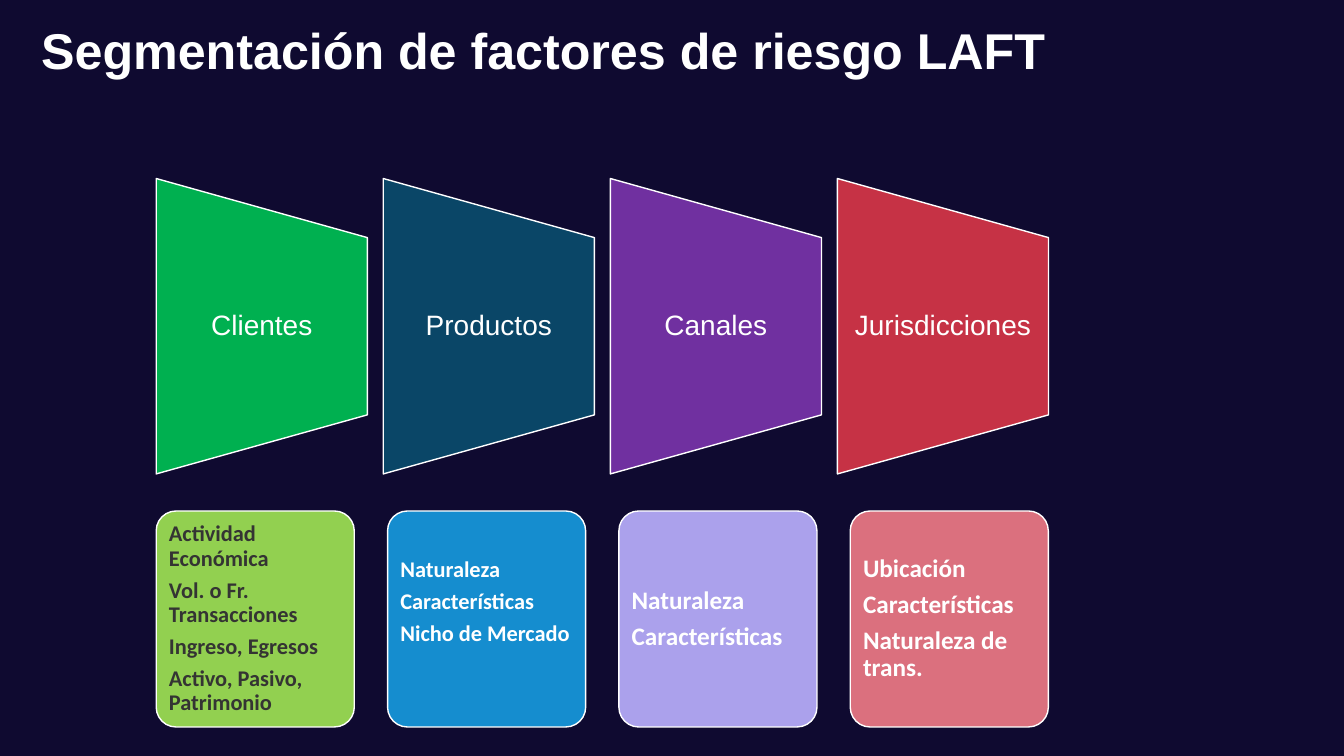
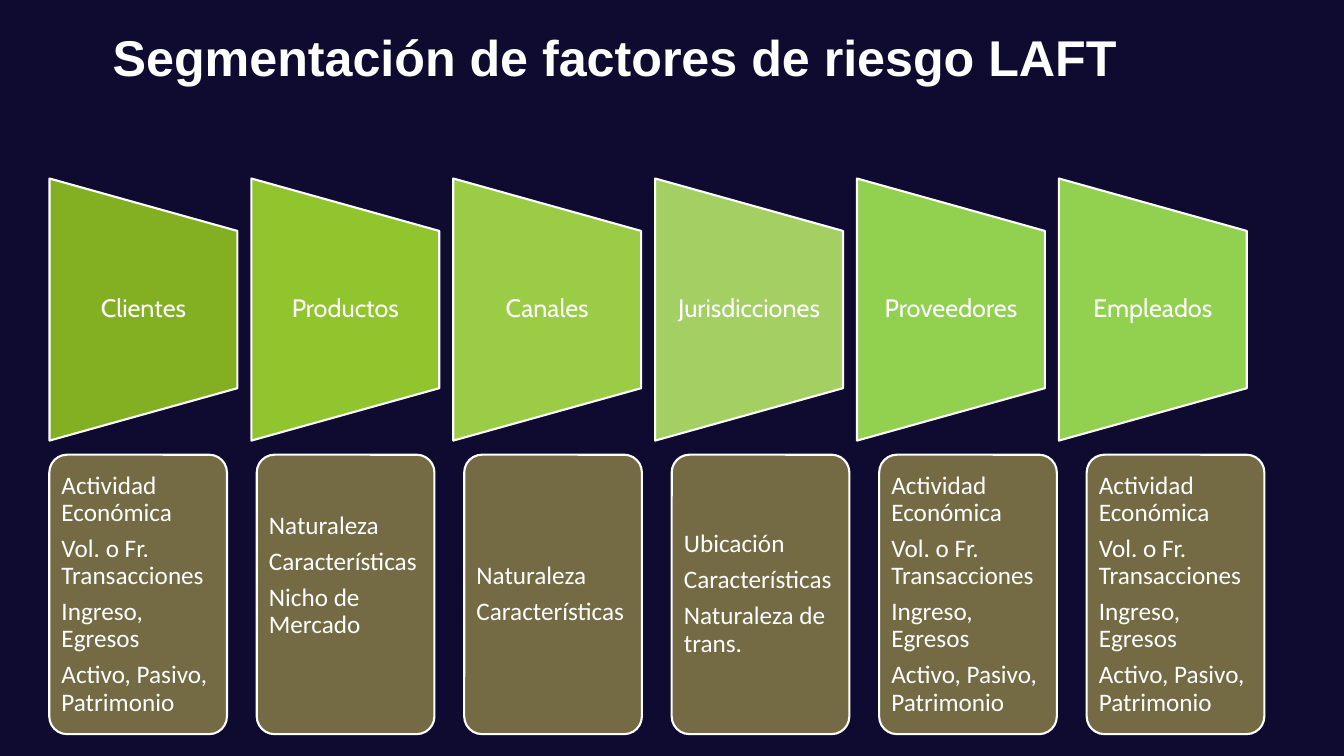
from dataclasses import dataclass

from pptx import Presentation
from pptx.dml.color import RGBColor
from pptx.enum.shapes import MSO_SHAPE
from pptx.enum.text import MSO_ANCHOR, PP_ALIGN
from pptx.util import Pt

GATE = MSO_SHAPE.FLOWCHART_MANUAL_OPERATION
CARD = MSO_SHAPE.ROUNDED_RECTANGLE
TOP, MIDDLE = MSO_ANCHOR.TOP, MSO_ANCHOR.MIDDLE
LEFT, CENTER = PP_ALIGN.LEFT, PP_ALIGN.CENTER


@dataclass(frozen=True)
class Theme:
    night: str = "0F0A30"
    white: str = "FFFFFF"
    ink: str = "343433"
    olive: str = "746B44"
    heading_font: str = "Arial"
    gate_font: str = "Cabin"
    card_font: str = "Calibri"
    title_size: float = 35.9
    large: float = 20
    normal: float = 18
    small: float = 16
    line_spacing: float = 0.9
    gap_ratio: float = 0.35
    lift_ratio: float = 1.45


THEME = Theme()


@dataclass(frozen=True)
class Row:
    left: float
    top: float
    width: float
    height: float
    pitch: float

    def cell(self, column):
        return self.left + column * self.pitch, self.top, self.width, self.height


class Deck:
    def __init__(self, theme):
        self.theme = theme
        self.presentation = Presentation()
        self.presentation.slide_width = Pt(960)
        self.presentation.slide_height = Pt(540)
        self.slide = None

    def new_slide(self):
        self.slide = self.presentation.slides.add_slide(self.presentation.slide_layouts[6])
        fill = self.slide.background.fill
        fill.solid()
        fill.fore_color.rgb = RGBColor.from_string(self.theme.night)

    def set_text(self, holder, lines, font, size, color, bold=False, align=LEFT,
                 anchor=MIDDLE, insets=(5, 5, 5, 5), spacing=None, gap=0):
        frame = holder.text_frame
        left, top, right, bottom = map(Pt, insets)
        frame_format = {
            "word_wrap": True, "vertical_anchor": anchor,
            "margin_left": left, "margin_top": top,
            "margin_right": right, "margin_bottom": bottom,
        }
        for key, value in frame_format.items():
            setattr(frame, key, value)
        for index, line in enumerate(lines):
            paragraph = frame.add_paragraph() if index else frame.paragraphs[0]
            paragraph_format = {"text": line, "alignment": align,
                                "line_spacing": spacing, "space_after": Pt(gap)}
            for key, value in paragraph_format.items():
                setattr(paragraph, key, value)
            for key, value in {"name": font, "size": Pt(size), "bold": bold}.items():
                setattr(paragraph.font, key, value)
            paragraph.font.color.rgb = RGBColor.from_string(color)

    def outlined(self, preset, box, fill, line_width):
        shape = self.slide.shapes.add_shape(preset, *map(Pt, box))
        shape.shadow.inherit = False
        shape.fill.solid()
        shape.fill.fore_color.rgb = RGBColor.from_string(fill)
        shape.line.color.rgb = RGBColor.from_string(self.theme.white)
        shape.line.width = Pt(line_width)
        return shape

    def title(self, text, left, top):
        box = self.slide.shapes.add_textbox(Pt(left), Pt(top), Pt(763), Pt(49))
        self.set_text(box, [text], self.theme.heading_font, self.theme.title_size,
                      self.theme.white, bold=True, anchor=TOP, insets=(7.2, 3.6, 7.2, 3.6))

    def gate(self, box, label, fill, line_width, font, size):
        left, top, width, height = box
        shift = (width - height) / 2
        shape = self.outlined(GATE, (left + shift, top - shift, height, width), fill, line_width)
        shape.rotation = 270
        caption = self.slide.shapes.add_textbox(
            Pt(left), Pt(top + height / 5), Pt(width), Pt(height * 0.6))
        self.set_text(caption, [label], font, size, self.theme.white, align=CENTER,
                      insets=(9, 0, 9, 0), spacing=self.theme.line_spacing,
                      gap=size * self.theme.gap_ratio)

    def card(self, box, lines, fill, line_width, size, color, bold, lifted):
        shape = self.outlined(CARD, box, fill, line_width)
        shape.adjustments[0] = 0.1
        bottom = 5 + lifted * size * self.theme.lift_ratio
        self.set_text(shape, lines, self.theme.card_font, size, color, bold,
                      insets=(5, 5, 5, bottom), spacing=self.theme.line_spacing,
                      gap=size * self.theme.gap_ratio)


TITLE = "Segmentación de factores de riesgo LAFT"
PROFILE = ["Actividad Económica", "Vol. o Fr. Transacciones", "Ingreso, Egresos",
           "Activo, Pasivo, Patrimonio"]
VARIABLES = {
    "Clientes": PROFILE,
    "Productos": ["Naturaleza", "Características", "Nicho de Mercado"],
    "Canales": ["Naturaleza", "Características"],
    "Jurisdicciones": ["Ubicación", "Características", "Naturaleza de trans."],
    "Proveedores": PROFILE,
    "Empleados": PROFILE,
}
LIFTED_FACTOR = "Productos"

MAIN_FACTORS = [
    ("Clientes", "00B050", "92D050", THEME.small, THEME.ink),
    ("Productos", "0A4667", "158DCF", THEME.small, THEME.white),
    ("Canales", "7030A0", "ABA1EC", THEME.normal, THEME.white),
    ("Jurisdicciones", "C63245", "DB707E", THEME.normal, THEME.white),
]
ALL_FACTORS = [
    (factor, fill, THEME.olive, THEME.normal, THEME.white)
    for factor, fill in zip(
        VARIABLES, ["83B022", "90C52E", "9ACD45", "A4CF63", "92D050", "92D050"])
]


def factor_slide(deck, title_at, factors, gates, cards, line_width, font, size, bold):
    deck.new_slide()
    deck.title(TITLE, *title_at)
    for column, (factor, gate_fill, *_) in enumerate(factors):
        deck.gate(gates.cell(column), factor, gate_fill, line_width, font, size)
    for column, (factor, _, card_fill, card_size, color) in enumerate(factors):
        deck.card(cards.cell(column), VARIABLES[factor], card_fill, line_width,
                  card_size, color, bold, factor == LIFTED_FACTOR)


def main():
    deck = Deck(THEME)
    factor_slide(deck, (22.3, 10), MAIN_FACTORS,
                 Row(111.6, 127.5, 150.8, 211, 162.2),
                 Row(111.6, 365, 141.5, 154.3, 165.25),
                 1, THEME.heading_font, THEME.large, True)
    factor_slide(deck, (73.4, 15), ALL_FACTORS,
                 Row(35.4, 127.5, 134.2, 187.2, 144.2),
                 Row(35.2, 324.8, 126.9, 199.6, 148.2),
                 1.5, THEME.gate_font, THEME.normal, False)
    deck.presentation.save("out.pptx")


if __name__ == "__main__":
    main()
